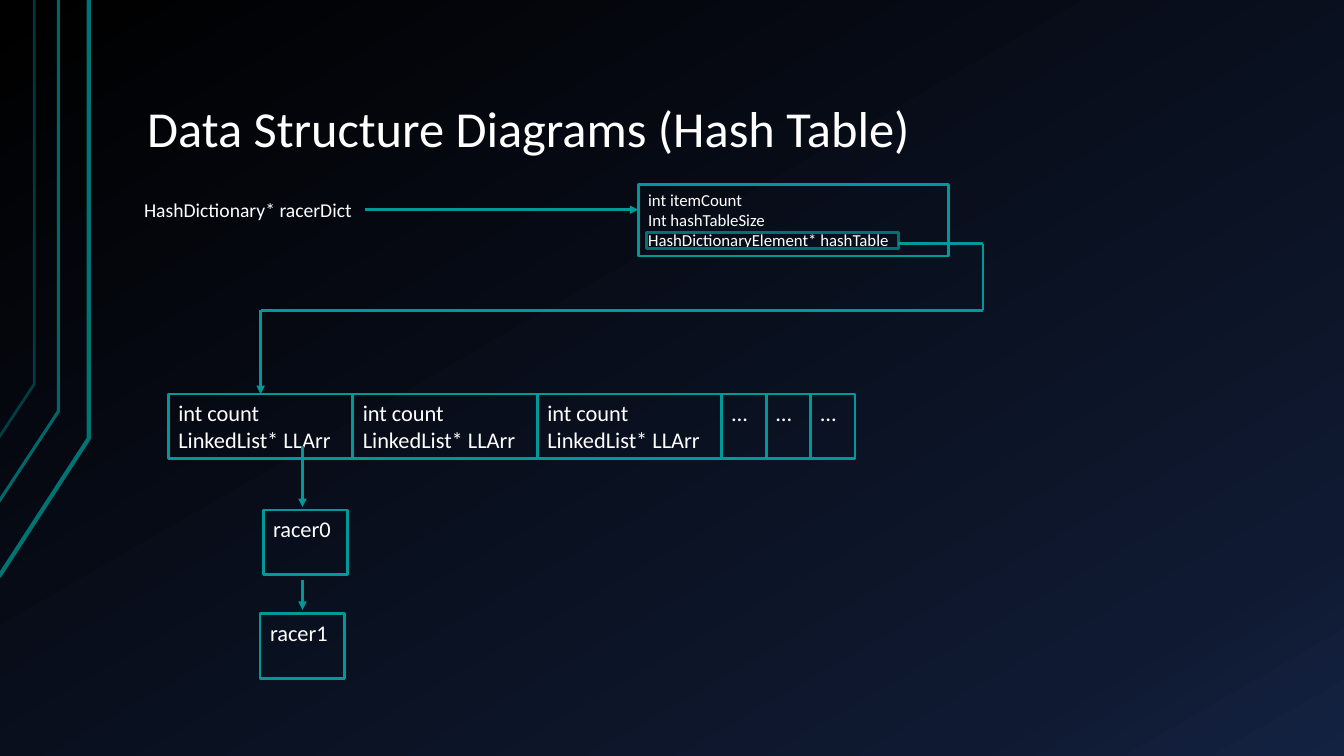
from copy import deepcopy

from lxml.etree import SubElement
from pptx import Presentation
from pptx.dml.color import RGBColor
from pptx.enum.shapes import MSO_CONNECTOR, MSO_SHAPE
from pptx.enum.text import MSO_ANCHOR, MSO_AUTO_SIZE, PP_ALIGN
from pptx.oxml.ns import qn
from pptx.util import Inches, Pt

THEME = {
    "font": "Calibri",
    "text": RGBColor.from_string("FFFFFF"),
    "line": RGBColor.from_string("009999"),
    "field": RGBColor.from_string("007171"),
    "rail": RGBColor.from_string("007373"),
    "background": [(0, "000000"), (0.85, "0F1931"), (1, "142242")],
    "title_size": Pt(36),
    "slot_size": Pt(16),
    "label_size": Pt(14),
    "struct_size": Pt(12),
    "line_width": Pt(2),
}


def write(shape, lines, size, **frame_format):
    frame = shape.text_frame
    frame_values = {"word_wrap": True, "vertical_anchor": MSO_ANCHOR.TOP, **frame_format}
    for name, value in frame_values.items():
        setattr(frame, name, value)
    font_values = {"name": THEME["font"], "size": size}
    for index, line in enumerate(lines):
        para = frame.paragraphs[0] if index == 0 else frame.add_paragraph()
        para.alignment = PP_ALIGN.LEFT
        span = para.add_run()
        span.text = line
        for name, value in font_values.items():
            setattr(span.font, name, value)
        span.font.color.rgb = THEME["text"]


def add_line(start, end, arrow=False):
    points = [Inches(value) for value in (*start, *end)]
    connector = page.shapes.add_connector(MSO_CONNECTOR.STRAIGHT, *points)
    connector.line.color.rgb = THEME["line"]
    connector.line.width = THEME["line_width"]
    if arrow:
        SubElement(connector.line._get_or_add_ln(), qn("a:tailEnd"), type="triangle")
    SubElement(connector._element.spPr, qn("a:effectLst"))
    return connector


deck = Presentation()
deck.slide_width, deck.slide_height = Inches(13.33), Inches(7.5)
page = deck.slides.add_slide(deck.slide_layouts[6])

# Background gradient with three stops
fill = page.background.fill
fill.gradient()
fill.gradient_angle = 300
first_stop = fill.gradient_stops[0]._gs
first_stop.getparent().append(deepcopy(first_stop))
for stop, (position, color) in zip(fill.gradient_stops, THEME["background"]):
    stop.position = position
    stop.color.rgb = RGBColor.from_string(color)

# Bent rails at the left edge: points, width, opacity
rails = [
    ([(-0.01, 5.72), (0.88, 4.35), (0.88, 0)], 3, 100),
    ([(-0.02, 4.99), (0.58, 4.08), (0.58, 0)], 2.25, 90),
    ([(-0.01, 4.34), (0.34, 3.81), (0.34, 0)], 2, 50),
]
for points, width, opacity in rails:
    corners = [(Inches(x), Inches(y)) for x, y in points]
    builder = page.shapes.build_freeform(*corners[0])
    builder.add_line_segments(corners[1:], close=False)
    rail = builder.convert_to_shape()
    rail.shadow.inherit = False
    rail.fill.background()
    rail.line.width = Pt(width)
    rail.line.color.rgb = THEME["rail"]
    color_node = rail.line._get_or_add_ln().find(".//" + qn("a:srgbClr"))
    SubElement(color_node, qn("a:alpha"), val=str(opacity * 1000))

# Title and variable label
title = page.shapes.add_textbox(Inches(1.33), Inches(0.3), Inches(11.33), Inches(1.34))
write(title, ["Data Structure Diagrams (Hash Table)"], THEME["title_size"],
      vertical_anchor=MSO_ANCHOR.BOTTOM, margin_left=Inches(0.13), margin_right=Inches(0.13),
      margin_top=Inches(0.07), margin_bottom=Inches(0.07))
title.text_frame.paragraphs[0].line_spacing = 0.9

label = page.shapes.add_textbox(Inches(1.33), Inches(1.91), Inches(2.29), Inches(0.34))
write(label, ["HashDictionary* racerDict"], THEME["label_size"],
      word_wrap=False, auto_size=MSO_AUTO_SIZE.SHAPE_TO_FIT_TEXT)

# Boxes: left, top, width, height, lines, type size, outline
struct_lines = ["int itemCount", "Int hashTableSize", "HashDictionaryElement* hashTable"]
boxes = [
    (6.33, 1.83, 3.08, 0.71, struct_lines, THEME["struct_size"], THEME["line"]),
    (6.41, 2.31, 2.5, 0.16, [], None, THEME["field"]),
    (2.61, 5.06, 0.84, 0.64, ["racer0"], THEME["slot_size"], THEME["line"]),
    (2.58, 6.09, 0.84, 0.64, ["racer1"], THEME["slot_size"], THEME["line"]),
]
slot_left, slot_top, slot_width = 1.67, 3.91, 1.83
slots = [(slot_width, ["int count", "LinkedList* LLArr"])] * 3 + [(0.44, ["…"])] * 3
left = slot_left
for width, lines in slots:
    boxes.append((left, slot_top, width, 0.64, lines, THEME["slot_size"], THEME["line"]))
    left += width

drawn = []
for left, top, width, height, lines, size, outline in boxes:
    box = page.shapes.add_shape(MSO_SHAPE.RECTANGLE, *map(Inches, (left, top, width, height)))
    box.shadow.inherit = False
    box.fill.background()
    box.line.color.rgb = outline
    box.line.width = THEME["line_width"]
    write(box, lines, size)
    drawn.append(box)
first_slot = drawn[4]

# Pointers
add_line((3.62, 2.08), (6.33, 2.08), arrow=True).begin_connect(label, 3)

slot_middle = slot_left + slot_width / 2
route = [(8.91, 2.42), (9.75, 2.42), (9.75, 3.08), (slot_middle, 3.08)]
for start, end in zip(route, route[1:]):
    add_line(start, end)
add_line(route[-1], (slot_middle, slot_top), arrow=True).end_connect(first_slot, 0)

for top, bottom in [(4.42, 5.03), (5.75, 6.05)]:
    add_line((3, top), (3, bottom), arrow=True)

deck.save("out.pptx")
